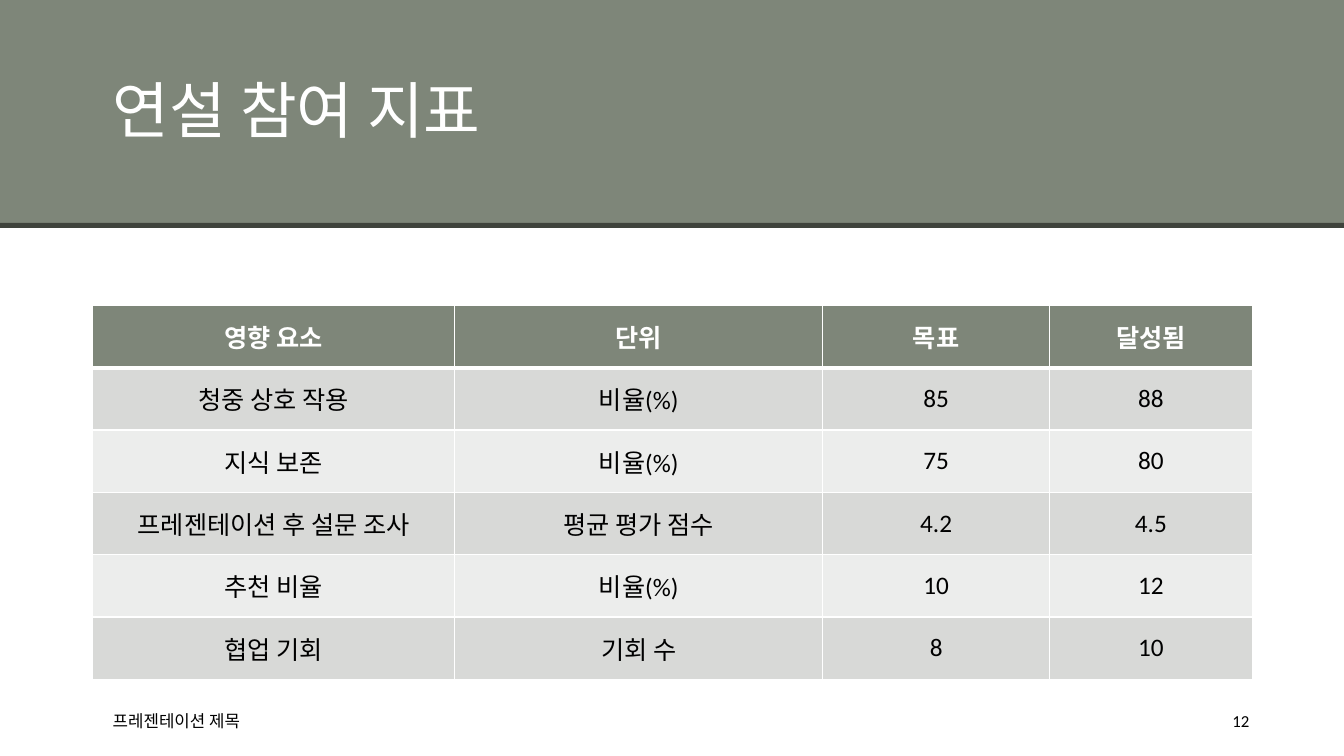
import pptx
import pptx.dml.color
import pptx.enum.shapes
import pptx.enum.text
import pptx.oxml
import pptx.oxml.ns
import pptx.util
from lxml import etree

Inches = pptx.util.Inches
Pt = pptx.util.Pt
ALIGN = pptx.enum.text.PP_ALIGN
MIDDLE = pptx.enum.text.MSO_ANCHOR.MIDDLE
qn = pptx.oxml.ns.qn

SAGE, DARK, WHITE, BLACK = "7E8679", "3F433C", "FFFFFF", "000000"
BANDS = ["D8D9D7", "ECEDEC"]
KOREAN = "Noto Sans CJK KR"

COL_WIDTHS = [3.59, 3.65, 2.25, 2.01]
ROWS = [
    ["영향 요소", "단위", "목표", "달성됨"],
    ["청중 상호 작용", "비율(%)", "85", "88"],
    ["지식 보존", "비율(%)", "75", "80"],
    ["프레젠테이션 후 설문 조사", "평균 평가 점수", "4.2", "4.5"],
    ["추천 비율", "비율(%)", "10", "12"],
    ["협업 기회", "기회 수", "8", "10"],
]


def color(value):
    """Return the colour for a hex string."""
    return pptx.dml.color.RGBColor.from_string(value)


def write(tf, text, size=18, font="Calibri", fill=BLACK, bold=False,
          align=ALIGN.LEFT, spacing=1.0):
    """Write one formatted paragraph into a text frame."""
    tf.word_wrap = True
    p = tf.paragraphs[0]
    p.alignment = align
    p.line_spacing = spacing
    r = p.add_run()
    r.text = text
    r.font.size = Pt(size)
    r.font.bold = bold
    r.font.name = font
    r.font.color.rgb = color(fill)
    etree.SubElement(r.font._element, qn("a:ea"), typeface=KOREAN)


def add_bar(s, x, y, w, h, fill):
    """Add a plain filled rectangle."""
    sp = s.shapes.add_shape(pptx.enum.shapes.MSO_SHAPE.RECTANGLE,
                            Inches(x), Inches(y), Inches(w), Inches(h))
    sp.shadow.inherit = False
    sp.fill.solid()
    sp.fill.fore_color.rgb = color(fill)
    sp.line.fill.background()


def add_header(s, x, y, w, h):
    """Place the title band with its rule and the title."""
    add_bar(s, x, y, w, h, SAGE)
    add_bar(s, x, y + h - 0.03, w, 0.05, DARK)
    title = s.shapes.title
    title.left, title.top = Inches(x + 1.02), Inches(y + 0.25)
    title.width, title.height = Inches(10.42), Inches(1.75)
    title.element.getparent().append(title.element)
    title.text_frame.vertical_anchor = MIDDLE
    write(title.text_frame, "연설 참여 지표", size=44, font=KOREAN,
          fill=WHITE, spacing=0.9)


def set_border(cell, side, width):
    """Draw a white border on one side of a cell."""
    ln = etree.SubElement(cell._tc.get_or_add_tcPr(), qn("a:ln" + side),
                          w=str(Pt(width)))
    fill = etree.SubElement(ln, qn("a:solidFill"))
    etree.SubElement(fill, qn("a:srgbClr"), val=WHITE)


def add_metrics(s, x, y, w, h):
    """Place the table of engagement metrics."""
    table = s.shapes.add_table(len(ROWS), len(COL_WIDTHS), Inches(x),
                               Inches(y), Inches(w), Inches(h)).table
    for col, width in zip(table.columns, COL_WIDTHS):
        col.width = Inches(width)
    for i, row in enumerate(ROWS):
        head = i == 0
        table.rows[i].height = Inches(h / len(ROWS))
        for j, text in enumerate(row):
            cell = table.cell(i, j)
            for side in "LRTB":
                thick = (side, i) in [("B", 0), ("T", 1)]
                set_border(cell, side, 3 if thick else 1)
            cell.fill.solid()
            cell.fill.fore_color.rgb = color(SAGE if head else BANDS[(i - 1) % 2])
            cell.vertical_anchor = MIDDLE
            write(cell.text_frame, text, bold=head,
                  fill=WHITE if head else BLACK, align=ALIGN.CENTER)


def add_note(s, x, y, w, h, text, **fmt):
    """Place one small text of the footer."""
    tf = s.shapes.add_textbox(Inches(x), Inches(y), Inches(w), Inches(h)).text_frame
    tf.vertical_anchor = MIDDLE
    write(tf, text, size=12, **fmt)


def add_footer(s, x, y, w, h):
    """Place the presentation title and the page number."""
    add_note(s, x, y, 4.5, h, "프레젠테이션 제목", font=KOREAN)
    add_note(s, x + w - 0.86, y, 0.86, h, "12", align=ALIGN.RIGHT)


def main():
    """Build and save the slide."""
    prs = pptx.Presentation()
    prs.slide_width, prs.slide_height = Inches(13.33), Inches(7.5)
    s = prs.slides.add_slide(prs.slide_layouts[5])
    add_header(s, 0, 0, 13.33, 2.24)
    add_footer(s, 1.02, 6.95, 11.47, 0.4)
    add_metrics(s, 0.92, 3.03, 11.5, 3.71)
    prs.save("out.pptx")


if __name__ == "__main__":
    main()
